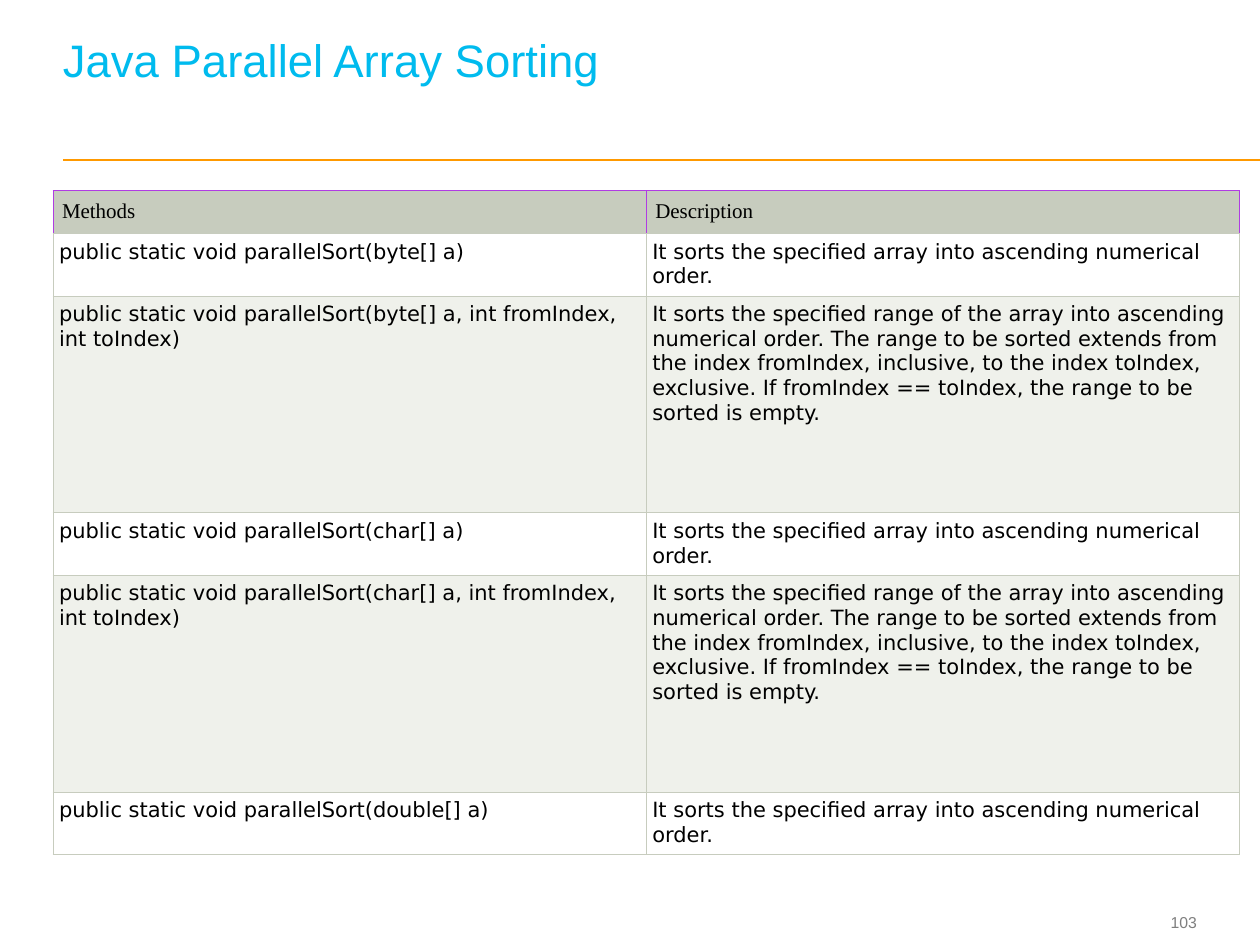
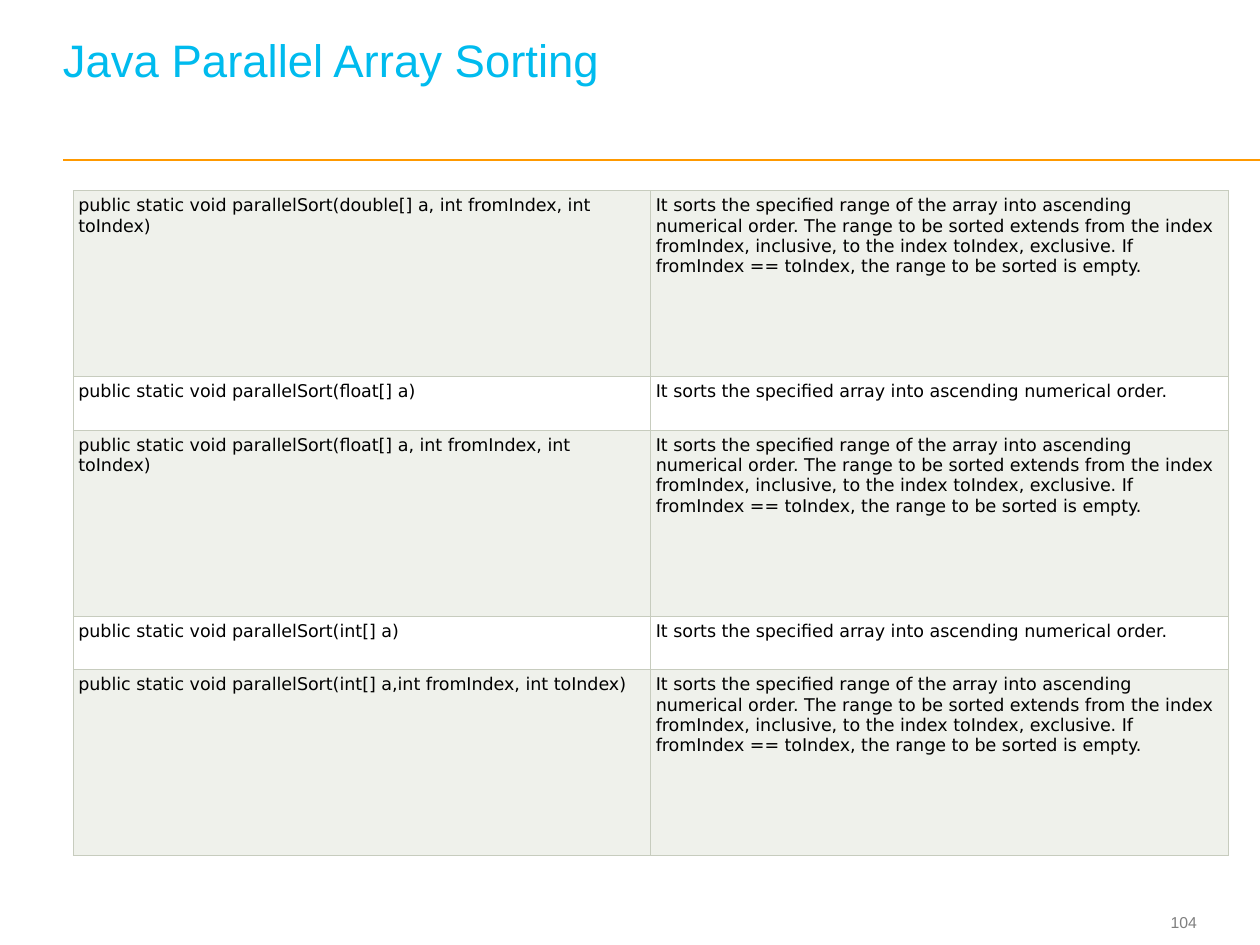
from lxml.etree import SubElement
from pptx import Presentation
from pptx.dml.color import RGBColor
from pptx.enum.shapes import MSO_CONNECTOR
from pptx.enum.text import MSO_ANCHOR, PP_ALIGN
from pptx.oxml.ns import qn
from pptx.util import Cm, Pt

TITLE = "Java Parallel Array Sorting"
WHOLE = "It sorts the specified array into ascending numerical order."
RANGE = ("It sorts the specified range of the array into ascending numerical order. "
         "The range to be sorted extends from the index fromIndex, inclusive, to the index "
         "toIndex, exclusive. If fromIndex == toIndex, the range to be sorted is empty.")

# Row heights, column widths, left edges and cell margins are in centimetres.
SLIDES = [
    {
        "number": 103, "left": 1.07, "column": 11.96, "margin": 0.12, "size": 12,
        "heights": {WHOLE: 1.26, RANGE: 4.37},
        "header": ("Methods", "Description"),
        "methods": [
            ("public static void parallelSort(byte[] a)", WHOLE),
            ("public static void parallelSort(byte[] a, int fromIndex, int toIndex)", RANGE),
            ("public static void parallelSort(char[] a)", WHOLE),
            ("public static void parallelSort(char[] a, int fromIndex, int toIndex)", RANGE),
            ("public static void parallelSort(double[] a)", WHOLE),
        ],
    },
    {
        "number": 104, "left": 1.48, "column": 11.64, "margin": 0.1, "size": 10,
        "heights": {WHOLE: 1.08, RANGE: 3.75},
        "header": None,
        "methods": [
            ("public static void parallelSort(double[] a, int fromIndex, int toIndex)", RANGE),
            ("public static void parallelSort(float[] a)", WHOLE),
            ("public static void parallelSort(float[] a, int fromIndex, int toIndex)", RANGE),
            ("public static void parallelSort(int[] a)", WHOLE),
            ("public static void parallelSort(int[] a,int fromIndex, int toIndex)", RANGE),
        ],
    },
]

WHITE = RGBColor(0xFF, 0xFF, 0xFF)
BLACK = RGBColor(0x00, 0x00, 0x00)
SKY = RGBColor(0x00, 0xBB, 0xEE)
ORANGE = RGBColor(0xFF, 0x99, 0x00)
GREY = RGBColor(0x7F, 0x7F, 0x7F)
SAGE = RGBColor(0xC7, 0xCC, 0xBE)
PALE_SAGE = RGBColor(0xEF, 0xF1, 0xEB)
PURPLE = RGBColor(0xB0, 0x3C, 0xE3)

TABLE_TOP = 3.84
HEADER_HEIGHT = 0.87
HEADER_MARGIN = 0.18
ROW_FILLS = {WHOLE: WHITE, RANGE: PALE_SAGE}
SIDES = ("lnL", "lnR", "lnT", "lnB")
BODY_BORDERS = dict.fromkeys(SIDES, SAGE)
HEADER_BORDERS = dict.fromkeys(SIDES, PURPLE) | {"lnB": SAGE}

TITLE_FONT = {"name": "Arial", "size": Pt(26)}
NUMBER_FONT = {"name": "Arial", "size": Pt(9)}
HEADER_FONT = {"name": "Times New Roman", "size": Pt(12)}


def apply_format(target, values):
    for name, value in values.items():
        setattr(target, name, value)


def margins(size):
    return {f"margin_{side}": Cm(size) for side in ("left", "top", "right", "bottom")}


def add_text(slide, box, text, font, color, frame_format, paragraph_format):
    frame = slide.shapes.add_textbox(*map(Cm, box)).text_frame
    apply_format(frame, {"word_wrap": True} | margins(0) | frame_format)
    paragraph = frame.paragraphs[0]
    paragraph.text = text
    apply_format(paragraph, paragraph_format)
    apply_format(paragraph.font, font)
    paragraph.font.color.rgb = color


def add_frame(slide, number):
    """Add the rule, page number and title that every slide shares."""
    rule = slide.shapes.add_connector(
        MSO_CONNECTOR.STRAIGHT, Cm(1.27), Cm(3.23), Cm(25.4), Cm(3.23))
    rule.line.color.rgb = ORANGE
    rule.line.width = Pt(1)
    SubElement(rule._element.spPr, qn("a:effectLst"))

    add_text(slide, (22.63, 18.24, 1.5, 0.69), str(number), NUMBER_FONT, GREY,
             {"vertical_anchor": MSO_ANCHOR.MIDDLE}, {"alignment": PP_ALIGN.RIGHT})
    # The bottom margin leaves room for a second title line.
    add_text(slide, (1.27, 0.48, 22.78, 2.18), TITLE, TITLE_FONT, SKY,
             {"vertical_anchor": MSO_ANCHOR.BOTTOM, "margin_bottom": Cm(0.92)},
             {"line_spacing": Pt(26)})


def fill_cell(cell, text, font, fill, borders, margin):
    properties = cell._tc.get_or_add_tcPr()
    for side, color in borders.items():
        line = SubElement(properties, qn(f"a:{side}"), w=str(Pt(0.6)))
        solid = SubElement(line, qn("a:solidFill"))
        SubElement(solid, qn("a:srgbClr"), val=str(color))
    cell.fill.solid()
    cell.fill.fore_color.rgb = fill
    apply_format(cell, margins(margin))
    paragraph = cell.text_frame.paragraphs[0]
    paragraph.text = text
    apply_format(paragraph.font, font)
    paragraph.font.color.rgb = BLACK


def add_method_table(slide, content):
    body_font = {"name": "DejaVu Sans", "size": Pt(content["size"])}
    rows = [(method, content["heights"][method[1]],
             (body_font, ROW_FILLS[method[1]], BODY_BORDERS, content["margin"]))
            for method in content["methods"]]
    if content["header"]:
        rows.insert(0, (content["header"], HEADER_HEIGHT,
                        (HEADER_FONT, SAGE, HEADER_BORDERS, HEADER_MARGIN)))

    total_height = sum(height for _, height, _ in rows)
    table = slide.shapes.add_table(
        len(rows), 2, Cm(content["left"]), Cm(TABLE_TOP),
        Cm(2 * content["column"]), Cm(total_height)).table
    apply_format(table, {"first_row": bool(content["header"]), "horz_banding": False})
    for column in table.columns:
        column.width = Cm(content["column"])
    for row, (texts, height, style) in zip(table.rows, rows):
        row.height = Cm(height)
        for cell, text in zip(row.cells, texts):
            fill_cell(cell, text, *style)


def main():
    presentation = Presentation()
    apply_format(presentation, {"slide_width": Cm(25.4), "slide_height": Cm(19.05)})
    for content in SLIDES:
        slide = presentation.slides.add_slide(presentation.slide_layouts[6])
        add_frame(slide, content["number"])
        add_method_table(slide, content)
    presentation.save("out.pptx")


if __name__ == "__main__":
    main()
